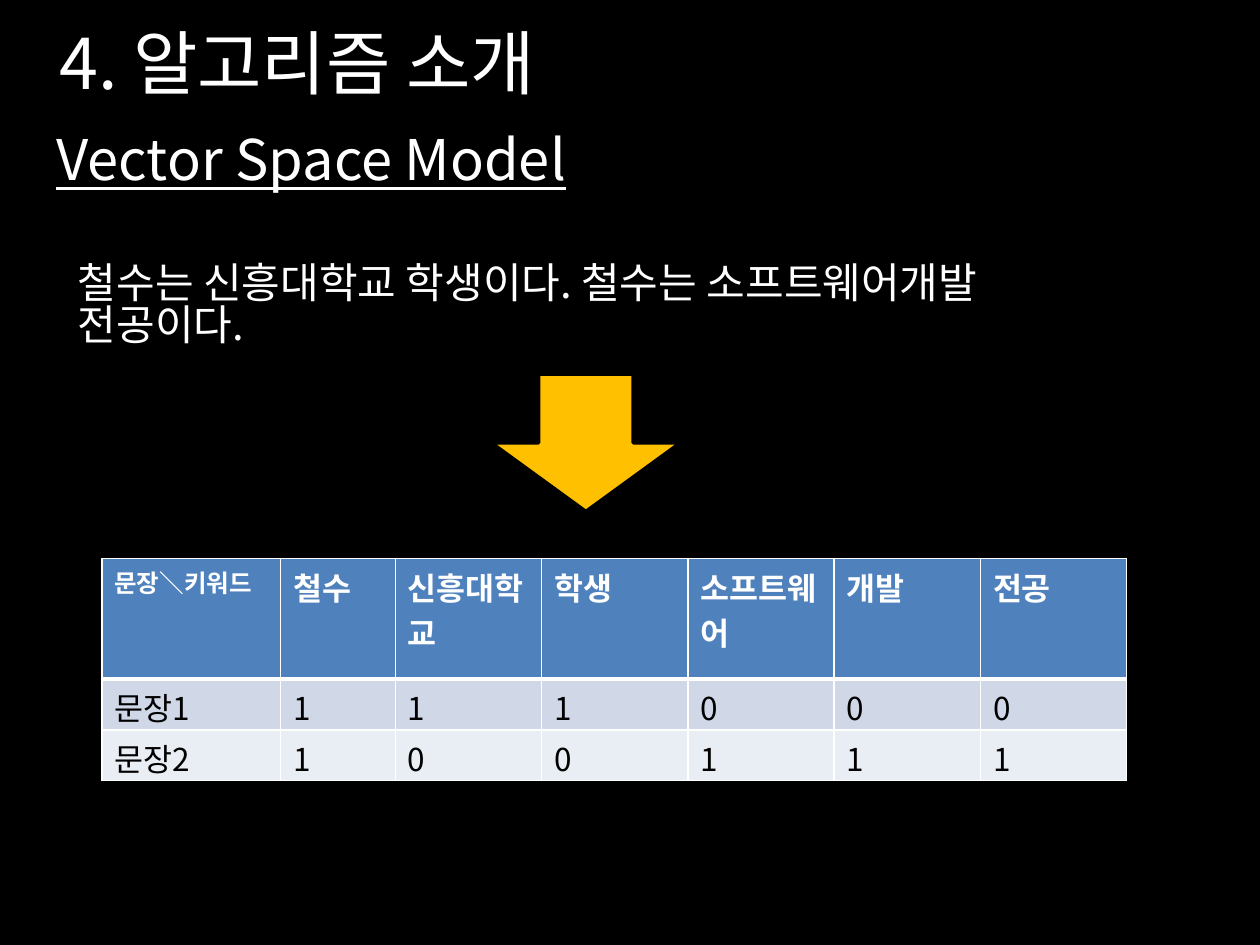
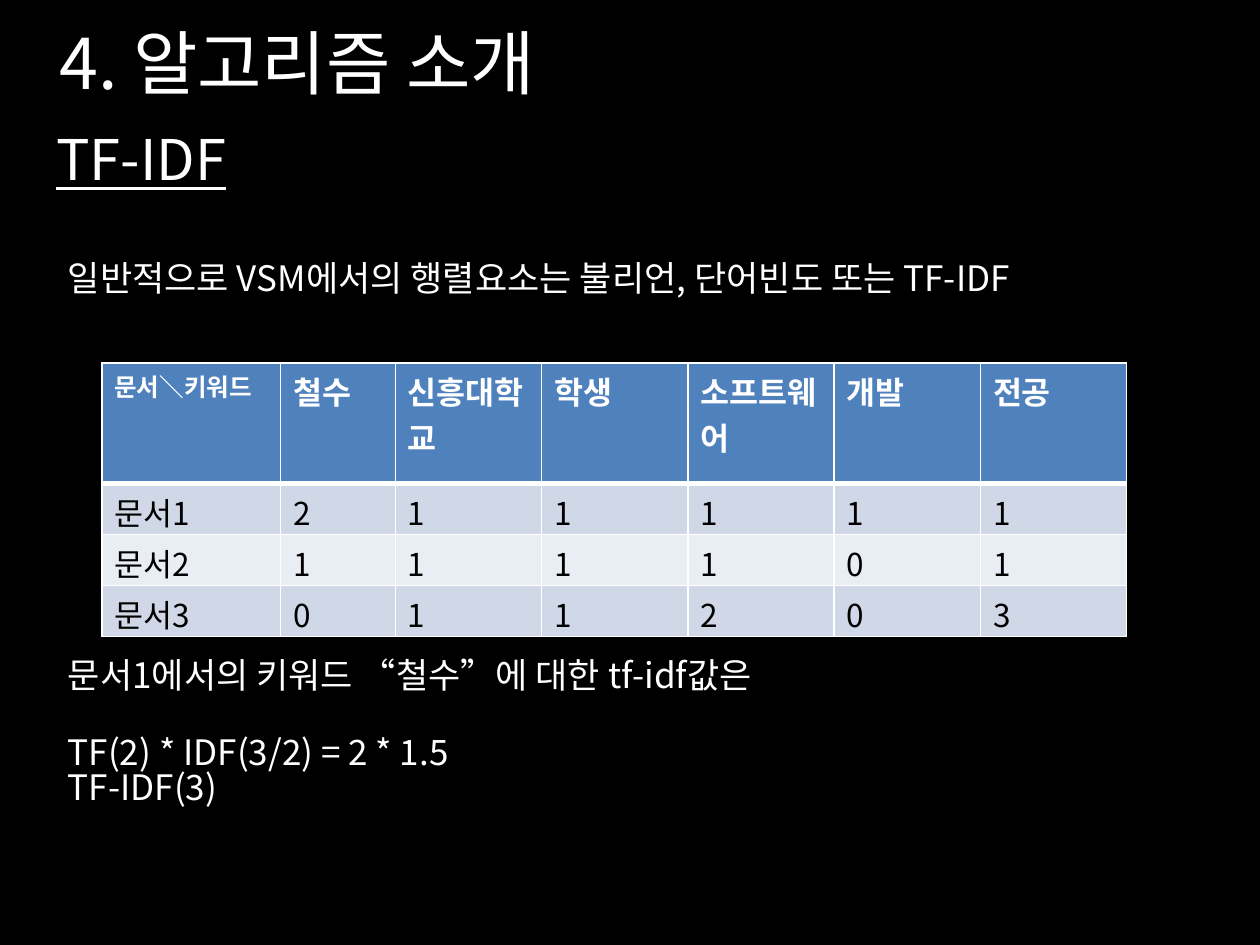
"""Build two slides that introduce the vector space model and TF-IDF."""
from dataclasses import dataclass

from lxml import etree
from pptx import Presentation
from pptx import util as u
from pptx.dml.color import RGBColor
from pptx.enum import shapes, text
from pptx.oxml import ns


@dataclass(frozen=True)
class Theme:
    """Colours, font, type sizes and spacing shared by both slides."""

    font: str = "Noto Sans CJK KR"
    background: str = "000000"
    light: str = "FFFFFF"
    dark: str = "000000"
    header: str = "4F81BD"
    bands: tuple = ("D0D8E8", "E9EDF4")
    arrow: str = "FFC000"
    title: int = 40
    heading: int = 32
    lead: int = 24
    body: int = 20
    cell: int = 18
    corner: int = 14
    leading: float = 0.83


THEME = Theme()
KEYWORDS = ["철수", "신흥대학교", "학생", "소프트웨어", "개발", "전공"]
COLUMN_WIDTHS = [102.2, 65.5] + [83.6] * 5
HEADER_HEIGHT, ROW_HEIGHT = 69, 28.8


def apply(target, values):
    """Set each named attribute of the target."""
    for name, value in values.items():
        setattr(target, name, value)


def paint(fill, colour):
    """Give a fill one solid colour."""
    fill.solid()
    fill.fore_color.rgb = RGBColor.from_string(colour)


def write(paragraph, words, size, colour, **style):
    """Write one run in the shared font for Latin and Korean letters."""
    run = paragraph.add_run()
    run.text = words
    apply(run.font, {"name": THEME.font, "size": u.Pt(size), **style})
    run.font.color.rgb = RGBColor.from_string(colour)
    etree.SubElement(run.font._element, ns.qn("a:ea"), typeface=THEME.font)


def fill_frame(frame, lines, size, align=text.PP_ALIGN.LEFT, **style):
    """Write light lines with tight leading into a text frame."""
    apply(frame, {"word_wrap": True, "auto_size": text.MSO_AUTO_SIZE.NONE,
                  "margin_left": u.Pt(7.2), "margin_right": u.Pt(7.2),
                  "margin_top": u.Pt(3.6 + 0.08 * size), "margin_bottom": u.Pt(3.6)})
    for index, words in enumerate(lines):
        paragraph = frame.add_paragraph() if index else frame.paragraphs[0]
        apply(paragraph, {"alignment": align, "line_spacing": THEME.leading,
                          "space_before": u.Pt(0)})
        write(paragraph, words, size, THEME.light, **style)


def add_words(slide, box, lines, size, **style):
    """Add a text box holding the lines and return its frame."""
    frame = slide.shapes.add_textbox(*map(u.Pt, box)).text_frame
    fill_frame(frame, lines, size, **style)
    return frame


def add_topic(deck, heading, heading_height):
    """Add a slide with the shared title and an underlined heading."""
    slide = deck.slides.add_slide(deck.slide_layouts[5])
    title = slide.shapes.title
    apply(title, {"left": u.Pt(-20.2), "top": u.Pt(15), "width": u.Pt(380), "height": u.Pt(45.4)})
    title.text_frame.vertical_anchor = text.MSO_ANCHOR.MIDDLE
    fill_frame(title.text_frame, ["4. 알고리즘 소개"], THEME.title, text.PP_ALIGN.CENTER)
    add_words(slide, (25.2, 71.3, 607, heading_height), [heading], THEME.heading, underline=True)
    return slide


def add_borders(cell, top, bottom):
    """Draw light borders of one point, with given top and bottom widths."""
    properties = cell._tc.get_or_add_tcPr()
    sides = {"lnL": 1, "lnR": 1, "lnT": top, "lnB": bottom}
    for index, (side, width) in enumerate(sides.items()):
        border = etree.Element(ns.qn(f"a:{side}"), w=str(u.Pt(width)))
        solid = etree.SubElement(border, ns.qn("a:solidFill"))
        etree.SubElement(solid, ns.qn("a:srgbClr"), val=THEME.light)
        properties.insert(index, border)


def add_matrix(slide, top, unit, counts):
    """Add a keyword table with one numbered row for each list of counts."""
    rows = [[f"{unit}＼키워드", *KEYWORDS]]
    rows += [[f"{unit}{number}", *values] for number, values in enumerate(counts, 1)]
    heights = [HEADER_HEIGHT] + [ROW_HEIGHT] * len(counts)
    matrix = slide.shapes.add_table(
        len(rows), len(COLUMN_WIDTHS), u.Pt(58.2), u.Pt(top),
        u.Pt(sum(COLUMN_WIDTHS)), u.Pt(sum(heights))).table
    for column, width in zip(matrix.columns, COLUMN_WIDTHS):
        column.width = u.Pt(width)
    for r, (values, height) in enumerate(zip(rows, heights)):
        matrix.rows[r].height = u.Pt(height)
        is_header = r == 0
        for c, value in enumerate(values):
            cell = matrix.cell(r, c)
            apply(cell, {"margin_top": u.Pt(3), "margin_bottom": u.Pt(0)})
            paint(cell.fill, THEME.header if is_header else THEME.bands[(r - 1) % 2])
            add_borders(cell, top=3 if r == 1 else 1, bottom=3 if is_header else 1)
            write(cell.text_frame.paragraphs[0], str(value),
                  THEME.corner if r == c == 0 else THEME.cell,
                  THEME.light if is_header else THEME.dark, bold=is_header)


def add_down_arrow(slide, box):
    """Add the arrow that leads from the sentences to the table."""
    arrow = slide.shapes.add_shape(shapes.MSO_SHAPE.DOWN_ARROW, *map(u.Pt, box))
    arrow.shadow.inherit = False
    paint(arrow.fill, THEME.arrow)
    paint(arrow.line.fill, THEME.dark)
    arrow.line.width = u.Pt(2)


def build_vector_space(deck):
    """Build the slide on the vector space model."""
    slide = add_topic(deck, "Vector Space Model", 167)
    add_matrix(slide, 319, "문장", [[1, 1, 1, 0, 0, 0], [1, 0, 0, 1, 1, 1]])
    add_words(slide, (37.4, 146.2, 617, 129.6),
              ["철수는 신흥대학교 학생이다. 철수는 소프트웨어개발 전공이다."], THEME.lead)
    add_down_arrow(slide, (280.8, 213.8, 108, 78.5))


def build_tf_idf(deck):
    """Build the slide on TF-IDF."""
    slide = add_topic(deck, "TF-IDF", 206)
    add_matrix(slide, 207.4, "문서",
               [[2, 1, 1, 1, 1, 1], [1, 1, 1, 1, 0, 1], [0, 1, 1, 2, 0, 3]])
    add_words(slide, (31.7, 145.4, 617, 31.7),
              ["일반적으로 VSM에서의 행렬요소는 불리언, 단어빈도 또는 TF-IDF"], THEME.body)
    example = add_words(slide, (31.7, 372.2, 617, 147.6),
                        ["문서1에서의 키워드 “철수”에 대한 tf-idf값은",
                         "TF(2) * IDF(3/2) = 2 * 1.5", "TF-IDF(3)"], THEME.body)
    example.paragraphs[1].space_before = u.Pt(24)


def main():
    """Build and save the deck."""
    deck = Presentation()
    apply(deck, {"slide_width": u.Pt(720), "slide_height": u.Pt(540)})
    paint(deck.slide_master.background.fill, THEME.background)
    build_vector_space(deck)
    build_tf_idf(deck)
    deck.save("out.pptx")


if __name__ == "__main__":
    main()
